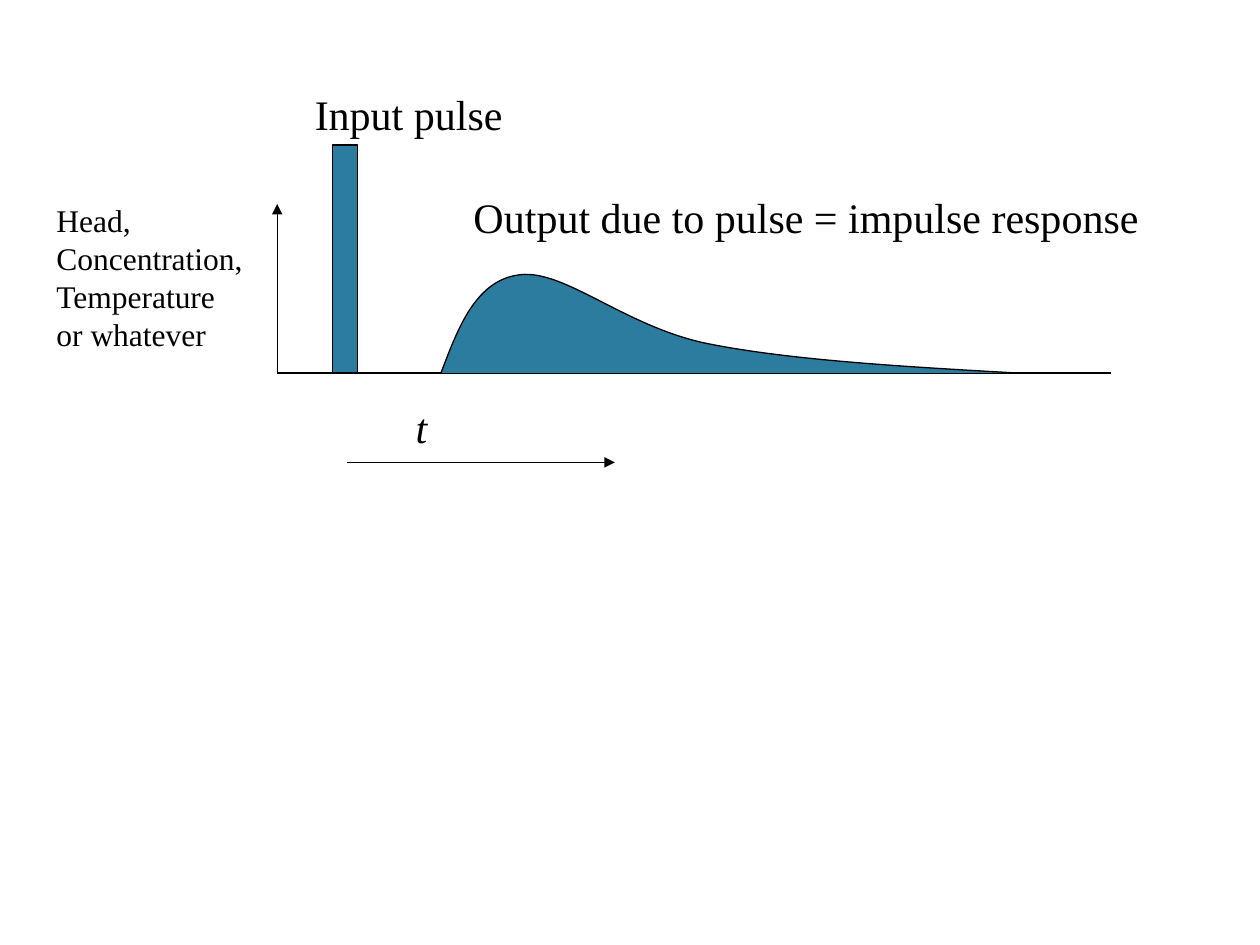
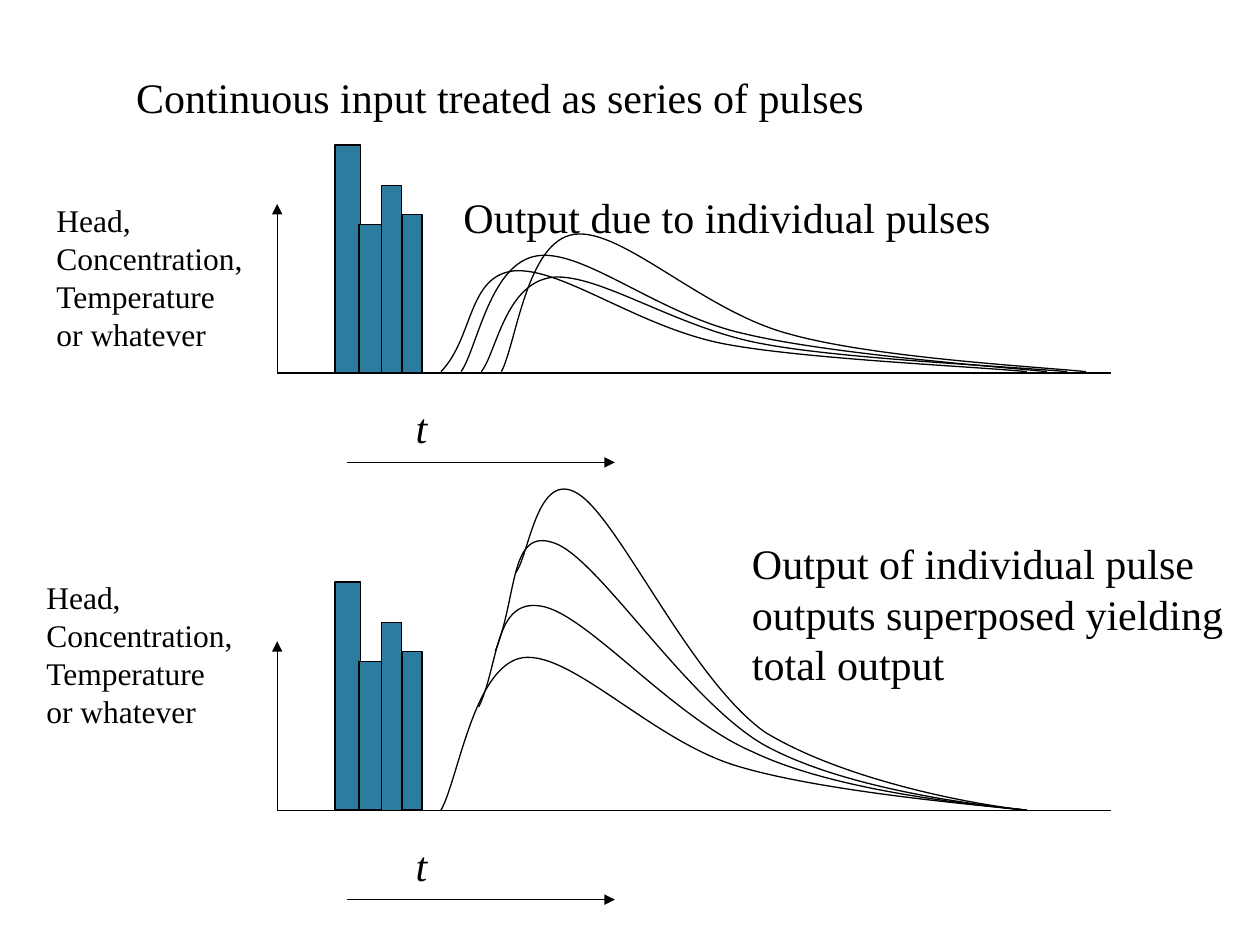
from lxml import etree
from pptx import Presentation, util as u
from pptx.dml.color import RGBColor
from pptx.enum import shapes, text
from pptx.oxml.ns import qn

BLACK = RGBColor(0x00, 0x00, 0x00)
TEAL = RGBColor(0x2C, 0x7C, 0x9F)
LABEL_FONT = {"name": "Times New Roman", "size": u.Pt(24), "bold": False, "italic": False}
FRAME = {"word_wrap": True, "auto_size": text.MSO_AUTO_SIZE.SHAPE_TO_FIT_TEXT,
         "vertical_anchor": text.MSO_ANCHOR.TOP}
TITLE_ONLY, BLANK = 5, 6

deck = Presentation()
deck.slide_width, deck.slide_height = u.Inches(10), u.Inches(7.5)
CELL = deck.slide_width // 100  # square grid: 100 columns by 75 rows


def write(box, place, lines, **changes):
    """Place a text box or title on the grid and fill it with paragraphs."""
    box.left, box.top, box.width, box.height = [round(v * CELL) for v in place]
    frame = box.text_frame
    for name, value in FRAME.items():
        setattr(frame, name, value)
    frame.text = lines
    for para in frame.paragraphs:
        para.alignment = text.PP_ALIGN.LEFT
        for name, value in {**LABEL_FONT, **changes}.items():
            setattr(para.font, name, value)
        para.font.color.rgb = BLACK


def outline(shape, fill=None, arrow=False):
    """Give a shape or connector its thin black line, without a shadow."""
    shape.line.color.rgb = BLACK
    shape.line.width = u.Pt(0.75)
    etree.SubElement(shape._element.spPr, qn("a:effectLst"))
    if arrow:
        etree.SubElement(shape.line._get_or_add_ln(), qn("a:tailEnd"), type="triangle")
    if fill is not None:
        shape.fill.solid()
        shape.fill.fore_color.rgb = fill
    elif hasattr(shape, "fill"):
        shape.fill.background()


single = deck.slides.add_slide(deck.slide_layouts[BLANK])
series = deck.slides.add_slide(deck.slide_layouts[TITLE_ONLY])
write(series.shapes.title, (9.8, 5.2, 62, 5), "Continuous input treated as series of pulses")

# Pulses as left edge, width and height
one_pulse = [(26.4, 2, 18.1)]
four_pulses = [(26.6, 2, 18.1), (28.5, 1.8, 11.8), (30.3, 1.6, 14.9), (31.9, 1.6, 12.6)]

# Curves as a start point followed by Bezier triples
impulse_response = [
    [(35, 29.6), (36.4, 25.9), (37.8, 22.2), (41.3, 21.8), (44.9, 21.4), (49.7, 26),
     (56.3, 27.3), (62.9, 28.6), (71.8, 29.1), (80.7, 29.6)],
]
individual_outputs = [
    [(83.1, 29.5), (79.1, 29.1), (65.8, 28.1), (59.1, 26.5), (52.3, 25), (46.4, 19.8),
     (42.7, 20.3), (38.9, 20.8), (37.9, 27.6), (36.6, 29.5)],
    [(84.7, 29.5), (80.6, 29.1), (66.9, 28.5), (60.6, 27.3), (53.8, 26.1), (47.6, 21.7),
     (43.9, 22), (40.1, 22.4), (39.4, 28), (38.2, 29.5)],
    [(86.2, 29.5), (82.2, 29.1), (69.3, 28.4), (62.6, 26.5), (55.8, 24.7), (49.4, 18.1),
     (45.6, 18.6), (41.8, 19.1), (41, 27.2), (39.8, 29.5)],
    [(81.5, 29.5), (77.5, 29.1), (63.8, 28.5), (57.5, 27.3), (50.7, 26), (44.6, 21.2),
     (40.8, 21.5), (37.1, 21.9), (37.6, 26.8), (35, 29.5)],
]
superposed_outputs = [
    [(81.5, 64.3), (77.5, 63.9), (67.1, 62), (60.7, 58.1), (54.8, 53.9), (49.2, 41.3),
     (45.9, 39.2), (42.6, 37.1), (42, 44.2), (40.9, 45.5)],
    [(81.5, 64.3), (77.5, 63.9), (65.1, 62.8), (58.5, 60.8), (51.8, 58.8), (45.4, 51.7),
     (41.5, 52.2), (37.6, 52.8), (36.4, 61.8), (35, 64.3)],
    [(81.5, 64.3), (77.5, 63.9), (66.3, 62.8), (59.8, 59.7), (53.4, 57), (46.5, 48.6),
     (42.9, 48.1), (39.2, 47.5), (39.6, 52.8), (38, 56.1)],
    [(81.5, 64.3), (77.5, 63.9), (66.9, 62.6), (60.6, 59.1), (54.4, 55.5), (47.5, 44.3),
     (44, 43.1), (40.4, 41.8), (41.1, 47.3), (39.3, 51.7)],
]

# Graphs: slide, baseline row, pulses, curves, curve fill, quantity label corner
graphs = [
    (single, 29.6, one_pulse, impulse_response, TEAL, (3.5, 15.5)),
    (series, 29.6, four_pulses, individual_outputs, None, (3.5, 15.5)),
    (series, 64.3, four_pulses, superposed_outputs, None, (2.7, 45.4)),
]
for page, base, pulses, curves, curve_fill, corner in graphs:
    # Axes and time arrow
    for x1, y1, x2, y2, arrow in [(22, base, 88.2, base, False),
                                  (22, base, 22, base - 13.4, True),
                                  (27.5, base + 7.1, 48.8, base + 7.1, True)]:
        ends = [round(v * CELL) for v in (x1, y1, x2, y2)]
        outline(page.shapes.add_connector(shapes.MSO_CONNECTOR.STRAIGHT, *ends), arrow=arrow)

    # Input pulses
    for left, width, height in pulses:
        place = [round(v * CELL) for v in (left, base - height, width, height)]
        outline(page.shapes.add_shape(shapes.MSO_SHAPE.RECTANGLE, *place), TEAL)

    # Output curves: each three points become one Bezier segment
    for points in curves:
        start, *controls = [(round(x * CELL), round(y * CELL)) for x, y in points]
        builder = page.shapes.build_freeform(*start)
        builder.add_line_segments(controls, close=False)
        curve = builder.convert_to_shape()
        segments = list(curve._element.iter(qn("a:lnTo")))
        for first in range(0, len(segments), 3):
            bezier = etree.Element(qn("a:cubicBezTo"))
            segments[first].addprevious(bezier)
            for segment in segments[first:first + 3]:
                bezier.append(segment[0])
                segment.getparent().remove(segment)
        outline(curve, curve_fill)

    # Axis labels
    write(page.shapes.add_textbox(0, 0, 0, 0), (32, base + 1.8, 3.5, 5), "t", italic=True)
    write(page.shapes.add_textbox(0, 0, 0, 0), (*corner, 18, 13),
          "Head,\nConcentration,\nTemperature\nor whatever", size=u.Pt(18))

# Captions
for page, place, caption in [
    (single, (24, 6.5, 18, 5), "Input pulse"),
    (single, (36.6, 14.7, 57, 5), "Output due to pulse = impulse response"),
    (series, (35.8, 14.7, 46, 5), "Output due to individual pulses"),
    (series, (58.7, 42.2, 41, 13),
     "Output of individual pulse\noutputs superposed yielding\ntotal output"),
]:
    write(page.shapes.add_textbox(0, 0, 0, 0), place, caption)

deck.save("out.pptx")
